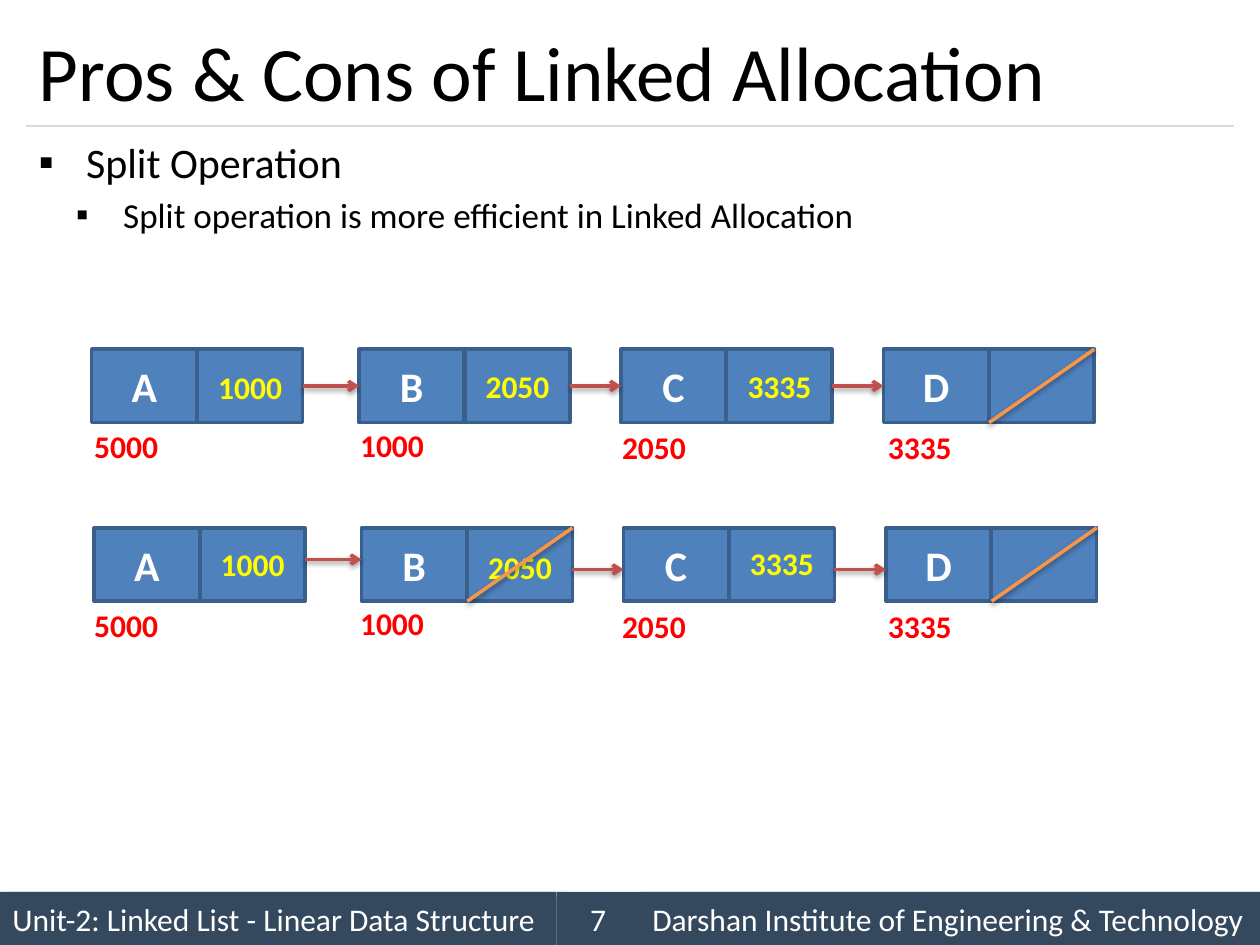
from lxml import etree
from pptx import Presentation
from pptx import util as u
from pptx.dml.color import RGBColor
from pptx.enum import shapes, text
from pptx.oxml import ns

Cm, Pt = u.Cm, u.Pt
COLORS = {
    "black": "000000", "white": "FFFFFF", "footer": "34495E", "rule": "D9D9D9",
    "cell": "4F81BD", "edge": "3A5F8C", "link": "C0504D", "null": "F79646",
    "pointer": "FFFF00", "address": "FF0000",
}
LEFT, CENTER = text.PP_ALIGN.LEFT, text.PP_ALIGN.CENTER
CELL_W, CELL_H, PITCH = 2.12, 1.48, 2.13
NODE_X = (1.85, 7.24, 12.52, 17.81)
LABEL_W, LABEL_H = 1.8, 1.02
# letter, address, address left, address drop below the row top
NODES = (("A", "5000", 1.65, 1.45), ("B", "1000", 7.01, 1.42),
         ("C", "2050", 12.29, 1.47), ("D", "3335", 17.65, 1.47))
LINK_SHADOW = dict(alpha=38, blur=3.1, dist=1.6, angle=90)
FOOTER_SHADOW = dict(alpha=40, blur=4, dist=3, angle=45)


def color(name):
    return RGBColor.from_string(COLORS[name])


def sub(parent, tag, **attrs):
    el = etree.SubElement(parent, ns.qn(tag))
    for key, value in attrs.items():
        el.set(key, str(value))
    return el


def set_shadow(s, alpha, blur, dist, angle):
    effects = sub(s._element.spPr, "a:effectLst")
    shadow = sub(effects, "a:outerShdw", blurRad=int(Pt(blur)), dist=int(Pt(dist)),
                 dir=angle * 60000, rotWithShape=0)
    rgb = sub(shadow, "a:srgbClr", val=COLORS["black"])
    sub(rgb, "a:alpha", val=alpha * 1000)


def write(p, words, size, fill, bold=False, **paragraph_format):
    for key, value in paragraph_format.items():
        setattr(p, key, value)
    r = p.add_run()
    r.text = words
    for key, value in dict(name="Calibri", size=Pt(size), bold=bold).items():
        setattr(r.font, key, value)
    r.font.color.rgb = color(fill)


def place(s, left, top, width, height):
    box = dict(left=left, top=top, width=width, height=height)
    for key, value in box.items():
        setattr(s, key, Cm(value))


def add_rect(slide, x, y, w, h, fill, edge=None):
    s = slide.shapes.add_shape(shapes.MSO_SHAPE.RECTANGLE, Cm(x), Cm(y), Cm(w), Cm(h))
    s.fill.solid()
    s.fill.fore_color.rgb = color(fill)
    if edge:
        s.line.color.rgb = color(edge)
        s.line.width = Pt(2)
    else:
        s.line.fill.background()
    s.text_frame.vertical_anchor = text.MSO_ANCHOR.MIDDLE
    return s


def add_line(slide, x1, y1, x2, y2, stroke, width=2, arrow=False, shadow=LINK_SHADOW):
    s = slide.shapes.add_connector(shapes.MSO_CONNECTOR.STRAIGHT,
                                   Cm(x1), Cm(y1), Cm(x2), Cm(y2))
    s.line.color.rgb = color(stroke)
    s.line.width = Pt(width)
    if arrow:
        sub(s.line._get_or_add_ln(), "a:tailEnd", type="arrow")
    if shadow:
        set_shadow(s, **shadow)
    else:
        sub(s._element.spPr, "a:effectLst")
    return s


def add_label(slide, x, y, words, fill):
    s = slide.shapes.add_textbox(Cm(x), Cm(y), Cm(LABEL_W), Cm(LABEL_H))
    s.text_frame.word_wrap = False
    write(s.text_frame.paragraphs[0], words, 18, fill, bold=True)


def add_footer(slide):
    parts = ((0, 11.22, "Unit-2: Linked List - Linear Data Structure", LEFT),
             (12.9, 12.5, "Darshan Institute of Engineering & Technology", LEFT),
             (11.22, 1.68, "7", CENTER))
    for x, w, words, align in parts:
        s = add_rect(slide, x, 17.98, w, 1.07, "footer")
        if align == LEFT:
            set_shadow(s, **FOOTER_SHADOW)
        else:
            s.shadow.inherit = False
        write(s.text_frame.paragraphs[0], words, 18, "white", alignment=align)


def add_heading(slide, words):
    s = slide.shapes.title
    place(s, 0.53, 0.3, 24.33, 2.24)
    s.text_frame.vertical_anchor = text.MSO_ANCHOR.MIDDLE
    write(s.text_frame.paragraphs[0], words, 44, "black", alignment=LEFT)


def add_bullets(slide, items):
    s = slide.placeholders[1]
    place(s, 0.53, 2.74, 24.33, 2.74)
    tf = s.text_frame
    tf.auto_size = text.MSO_AUTO_SIZE.NONE
    for i, (words, level, indent, size) in enumerate(items):
        p = tf.add_paragraph() if i else tf.paragraphs[0]
        pPr = p._p.get_or_add_pPr()
        pPr.set("marL", str(int(Cm(indent))))
        pPr.set("indent", str(int(Cm(-0.95))))
        sub(pPr, "a:buFont", typeface="Calibri")
        sub(pPr, "a:buChar", char="▪")
        write(p, words, size, "black", level=level, alignment=text.PP_ALIGN.JUSTIFY,
              line_spacing=0.9, space_before=Pt(6 if i else 0))


def add_linked_list(slide, shift, top, label_drops, null_nodes, link_drops=None):
    """Draw one row; links join the cell sides unless link_drops gives their heights."""
    cells = []
    for x, (letter, address, address_x, address_drop) in zip(NODE_X, NODES):
        data, pointer = (add_rect(slide, x + shift + i * PITCH, top, CELL_W, CELL_H,
                                  "cell", "edge") for i in range(2))
        for s in (data, pointer):
            s.shadow.inherit = False
        write(data.text_frame.paragraphs[0], letter, 24, "white", bold=True,
              alignment=CENTER)
        add_label(slide, address_x, top + address_drop, address, "address")
        cells.append((data, pointer))

    drops = link_drops or [CELL_H / 2] * 3
    for i, (label_drop, drop) in enumerate(zip(label_drops, drops)):
        pointer_x = NODE_X[i] + shift + PITCH
        add_label(slide, pointer_x + 0.17, top + label_drop, NODES[i + 1][1], "pointer")
        link = add_line(slide, pointer_x + CELL_W, top + drop,
                        NODE_X[i + 1] + shift, top + drop, "link", arrow=True)
        if not link_drops:
            link.begin_connect(cells[i][1], 3)
            link.end_connect(cells[i + 1][0], 1)

    for i in null_nodes:
        x = NODE_X[i] + shift + PITCH
        add_line(slide, x + CELL_W, top, x, top + CELL_H, "null")


def main():
    prs = Presentation()
    prs.slide_width, prs.slide_height = Cm(25.4), Cm(19.05)
    slide = prs.slides.add_slide(prs.slide_layouts[1])
    add_footer(slide)
    add_line(slide, 0.53, 2.54, 24.87, 2.54, "rule", width=0.75, shadow=None)
    add_heading(slide, "Pros & Cons of Linked Allocation")
    add_bullets(slide, (
        ("Split Operation", 0, 0.95, 24),
        ("Split operation is more efficient in Linked Allocation", 3, 1.7, 20),
    ))
    add_linked_list(slide, 0, 7.04, (0.25, 0.23, 0.23), null_nodes=(3,))
    add_linked_list(slide, 0.05, 10.64, (0.23, 0.28, 0.2), null_nodes=(1, 3),
                    link_drops=(0.64, 0.84, 0.84))
    prs.save("out.pptx")


if __name__ == "__main__":
    main()
